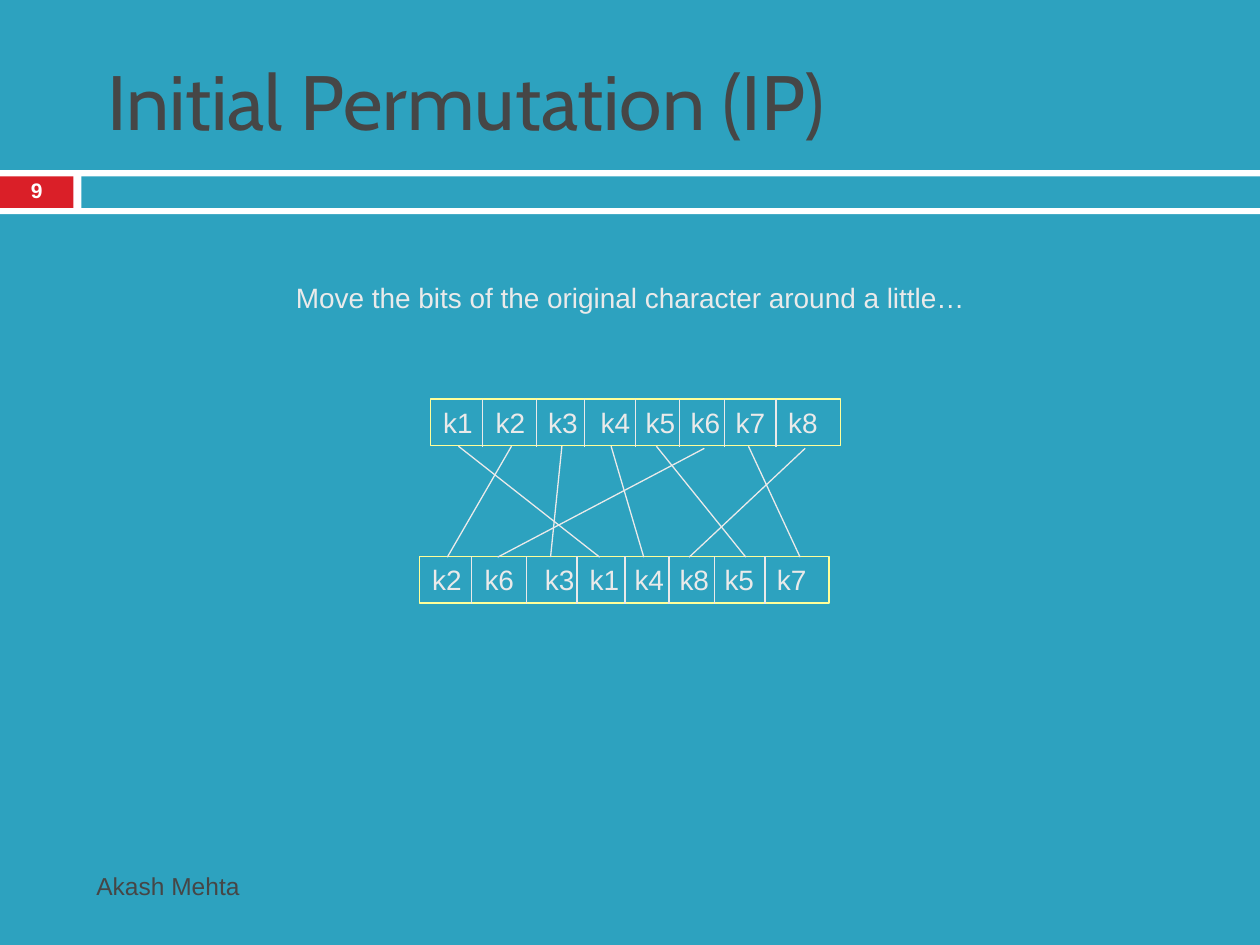
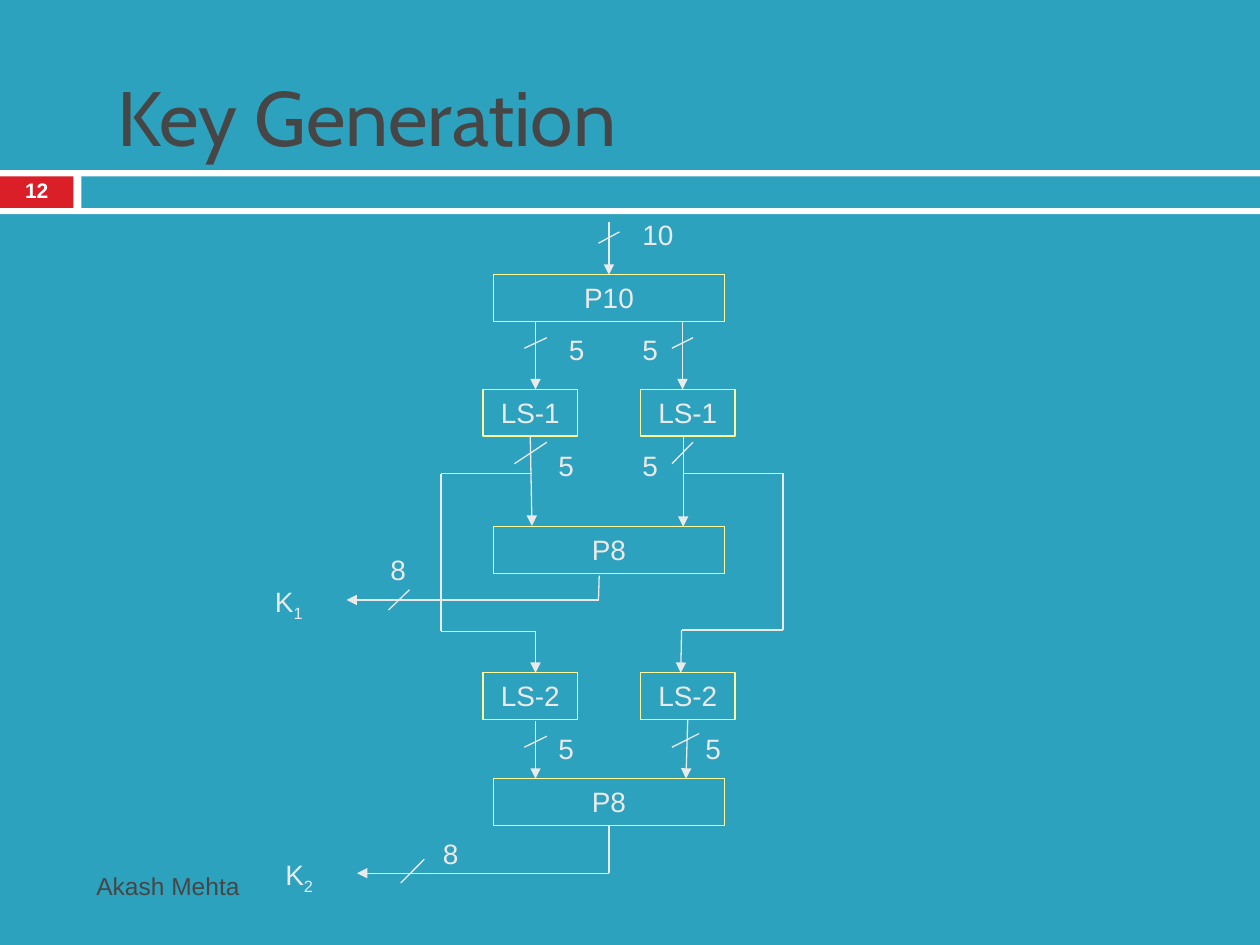
from itertools import pairwise

from lxml import etree
from pptx import Presentation
from pptx.dml.color import RGBColor
from pptx.enum.shapes import MSO_CONNECTOR as Connector, MSO_SHAPE as Shape
from pptx.enum.text import MSO_ANCHOR as Anchor, MSO_AUTO_SIZE as AutoSize, PP_ALIGN as Align
from pptx.oxml.ns import qn
from pptx.util import Pt

color = RGBColor.from_string
TEAL, RED, WHITE = "2DA2BF", "DA1F28", "FFFFFF"
DARK, LIGHT, YELLOW = "464646", "EAEAEA", "FFFF99"
BOX_HEIGHT = 26.65


def add_box(slide, left, top, width, height, text="", subscript="", fill=None, line=None,
            size=16, font_color=LIGHT, bold=False, align=Align.LEFT, anchor=Anchor.TOP, tabs=()):
    """Add a rectangle, with optional text, subscript and left tab stops."""
    shape = slide.shapes.add_shape(Shape.RECTANGLE, Pt(left), Pt(top), Pt(width), Pt(height))
    shape.shadow.inherit = False
    if fill:
        shape.fill.solid()
        shape.fill.fore_color.rgb = color(fill)
    else:
        shape.fill.background()
    if line:
        shape.line.color.rgb = color(line)
        shape.line.width = Pt(0.75)
    else:
        shape.line.fill.background()

    frame = shape.text_frame
    frame.word_wrap = True
    frame.vertical_anchor = anchor
    paragraph = frame.paragraphs[0]
    paragraph.alignment = align
    if tabs:
        tab_list = etree.SubElement(paragraph._p.get_or_add_pPr(), qn("a:tabLst"))
        for position in tabs:
            etree.SubElement(tab_list, qn("a:tab"), pos=str(Pt(position)), algn="l")
    for content, baseline in ((text, None), (subscript, "-25000")):
        if content:
            run = paragraph.add_run()
            run.text = content
            run.font.name = "Arial"
            run.font.size = Pt(size)
            run.font.bold = bold
            run.font.color.rgb = color(font_color)
            if baseline:
                run._r.get_or_add_rPr().set("baseline", baseline)
    return shape


def add_line(slide, start, end, arrow=False):
    line = slide.shapes.add_connector(Connector.STRAIGHT, *map(Pt, (*start, *end)))
    line.line.color.rgb = color(LIGHT)
    line.line.width = Pt(0.75)
    if arrow:
        etree.SubElement(line.line._get_or_add_ln(), qn("a:tailEnd"), type="triangle")
    etree.SubElement(line._element.spPr, qn("a:effectLst"))
    return line


presentation = Presentation()
presentation.slide_width, presentation.slide_height = Pt(720), Pt(540)
background = presentation.slide_master.background.fill
background.solid()
background.fore_color.rgb = color(TEAL)

# Shared frame: bands, title, page number and footer
slides = []
for title_text, number, title_place in (
    ("Initial Permutation (IP)", "9", (54, 12, 612, 90)),
    ("Key Generation", "12", (60, 36, 612, 60.5)),
):
    slide = presentation.slides.add_slide(presentation.slide_layouts[5])
    slides.append(slide)
    add_box(slide, 0, 97.2, 720, 25.2, fill=WHITE)
    add_box(slide, 0, 100.8, 42, 18, fill=RED)
    add_box(slide, 46.5, 100.8, 673.5, 18, fill=TEAL)

    title = slide.shapes.title
    title.left, title.top, title.width, title.height = map(Pt, title_place)
    title.text_frame.auto_size = AutoSize.NONE
    title.text_frame.vertical_anchor = Anchor.MIDDLE
    paragraph = title.text_frame.paragraphs[0]
    paragraph.alignment = Align.LEFT
    run = paragraph.add_run()
    run.text = title_text
    run.font.name = "Cabin"
    run.font.size = Pt(44)
    run.font.color.rgb = color(DARK)

    page_number = add_box(slide, 0, 100, 42, 19.5, number, size=12, font_color=WHITE, bold=True,
                          align=Align.CENTER, anchor=Anchor.MIDDLE)
    page_number.text_frame.paragraphs[0].line_spacing = 0.8
    add_box(slide, 48, 492, 427, 28.8, "Akash Mehta", size=14, font_color=DARK,
            anchor=Anchor.MIDDLE)

permutation_slide, key_slide = slides

# Initial permutation: two rows of bits and the lines between them
add_box(permutation_slide, 162, 156.5, 420, BOX_HEIGHT,
        "Move the bits of the original character around a little…")

input_bits = ["k1", "k2", "k3", "k4", "k5", "k6", "k7", "k8"]
output_bits = ["k2", "k6", "k3", "k1", "k4", "k8", "k5", "k7"]
bit_rows = [
    (input_bits, 246.2, 228, 60, (29.5, 60.5, 88, 116.8, 142, 168, 197.3)),
    (output_bits, 239.8, 318, 64.5, (29.7, 61, 90, 117.3, 142.5, 168.4, 197.3)),
]
for bits, left, top, third_bit, dividers in bit_rows:
    add_box(permutation_slide, left, top, 234, BOX_HEIGHT, "\t".join(bits), line=YELLOW,
            tabs=(30, third_bit, 90, 115.7, 141.4, 167.1, 197.1))
    for offset in dividers:
        add_line(permutation_slide, (left + offset, top), (left + offset, top + 27.4))

start_x = dict(zip(input_bits, (262, 292.3, 321.1, 349.2, 375.1, 402.5, 427.7, 460.1)))
end_x = dict(zip(output_bits, (255.6, 284.4, 314.6, 342.7, 367.9, 393.8, 426.2, 457.2)))
for bit in input_bits:
    start_y = 256.2 if bit in ("k6", "k8") else 255
    add_line(permutation_slide, (start_x[bit], start_y), (end_x[bit], 318.4))

# Key generation: boxes
boxes = {}
for name, label, left, top, width in (
    ("P10", "P10", 282, 157, 132),
    ("first P8", "P8", 282, 301, 132),
    ("second P8", "P8", 282, 445, 132),
    ("left LS-1", "LS-1", 276, 222.5, 54),
    ("right LS-1", "LS-1", 366, 222.5, 54),
    ("left LS-2", "LS-2", 276, 384.5, 54),
    ("right LS-2", "LS-2", 366, 384.5, 54),
):
    boxes[name] = add_box(key_slide, left, top, width, BOX_HEIGHT, label, line=YELLOW,
                          align=Align.CENTER)

# Each path ends in an arrowhead
paths = [
    [(306, 184), (306, 222.5)],
    [(390, 184), (390, 222.5)],
    [(390.4, 250), (390.4, 301)],
    [(342.4, 329), (342, 342.8), (198, 342.8)],
    [(306, 412), (306, 445)],
    [(304, 270.7), (252, 270.7), (252, 360.8), (306, 360.8), (306, 384.5)],
    [(390.4, 270.5), (447.5, 270.5), (447.5, 360), (389.5, 360), (389, 384.5)],
    [(348, 499), (204, 499)],
]
for path in paths:
    for start, end in pairwise(path):
        add_line(key_slide, start, end, arrow=end == path[-1])

add_line(key_slide, (348, 126.7), (348, 157), arrow=True).end_connect(boxes["P10"], 0)
for name, start, end, arrow in (
    ("left LS-1", (303, 249.15), (304, 300.5), True),
    ("right LS-2", (393, 411.15), (392, 445), True),
    ("second P8", (348, 471.65), (348, 499), False),
):
    add_line(key_slide, start, end, arrow).begin_connect(boxes[name], 2)

# Slashes that mark the bit widths
for right, top, left, bottom in (
    (354, 132.5, 342, 139),
    (312.5, 193, 299.6, 199),
    (396, 193, 384, 199),
    (312.5, 252.7, 294, 265),
    (396, 252.7, 384, 265),
    (234, 337, 222, 348.6),
    (312.5, 420.7, 299.6, 427),
    (399.5, 419.2, 384, 427),
    (242.5, 491, 229, 504.6),
):
    add_line(key_slide, (right, top), (left, bottom))

for text, subscript, left, top, width in (
    ("10", "", 360, 121, 36),
    ("5", "", 318, 186.5, 24),
    ("5", "", 360, 186.5, 24),
    ("5", "", 312, 252.5, 24),
    ("5", "", 360, 252.5, 24),
    ("5", "", 312, 414.5, 24),
    ("5", "", 396, 414.5, 24),
    ("8", "", 216, 312.5, 24),
    ("8", "", 246, 474.5, 24),
    ("K", "1", 150, 330.5, 36),
    ("K", "2", 156, 486.7, 36),
):
    add_box(key_slide, left, top, width, BOX_HEIGHT, text, subscript)

presentation.save("out.pptx")
